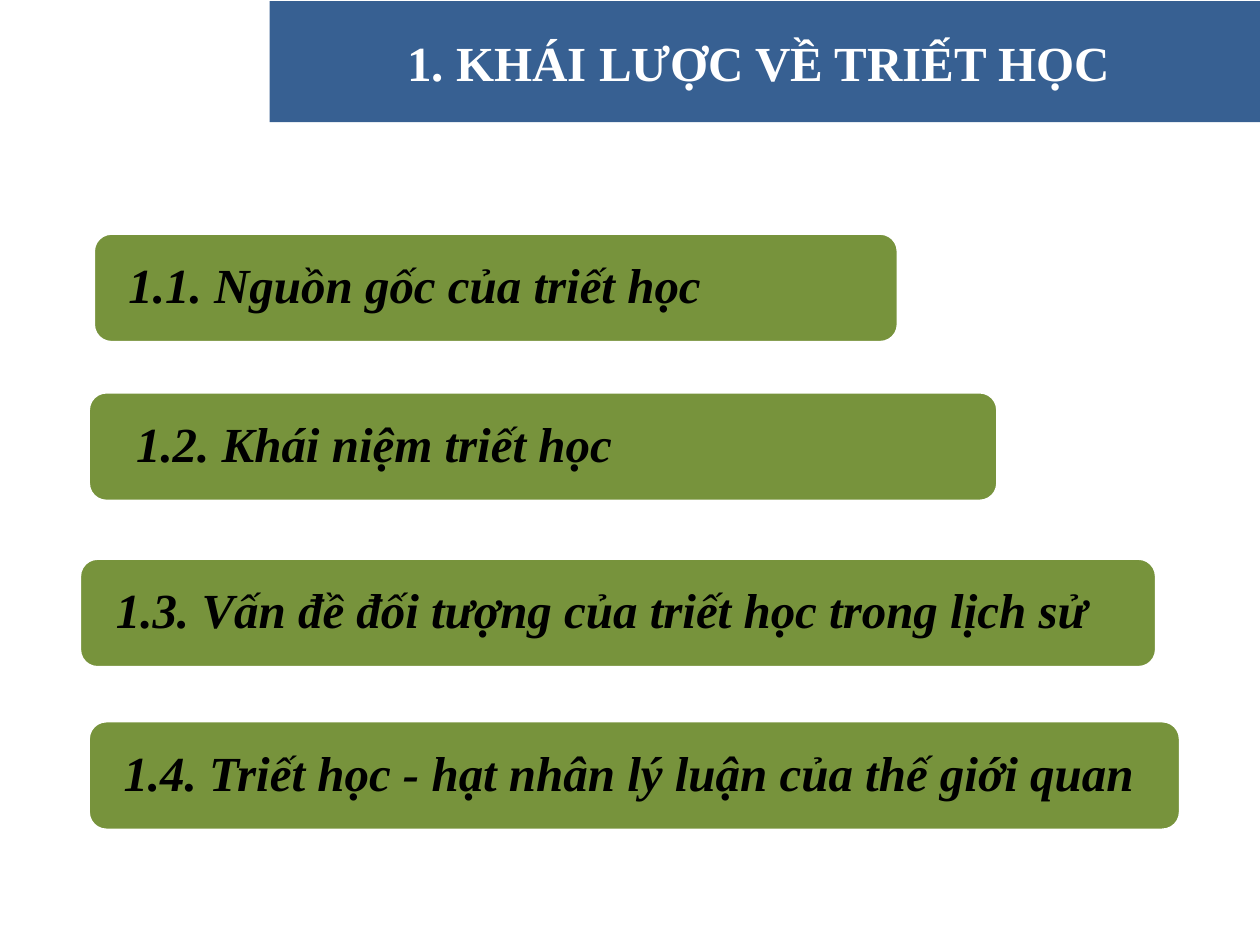
import pptx
import pptx.util
import pptx.dml.color
import pptx.enum.shapes
import pptx.enum.text

Inches = pptx.util.Inches
Pt = pptx.util.Pt
RGBColor = pptx.dml.color.RGBColor
PP_ALIGN = pptx.enum.text.PP_ALIGN
MIDDLE = pptx.enum.text.MSO_ANCHOR.MIDDLE

BLUE = RGBColor(0x37, 0x60, 0x92)
GREEN = RGBColor(0x77, 0x93, 0x3C)
WHITE = RGBColor(0xFF, 0xFF, 0xFF)
BLACK = RGBColor(0x00, 0x00, 0x00)

BAR_HEIGHT = 0.87
LABEL_HEIGHT = 0.78

# heading, bar left, bar top, bar width, label left
SECTIONS = [
    ("1.1. Nguồn gốc của triết học", 0.74, 1.85, 6.39, 0.78),
    ("1.2. Khái niệm triết học", 0.7, 3.11, 7.22, 0.84),
    ("1.3. Vấn đề đối tượng của triết học trong lịch sử", 0.63, 4.43, 8.55, 0.68),
    ("1.4. Triết học - hạt nhân lý luận của thế giới quan", 0.7, 5.72, 8.67, 0.74),
]


def format_text(paragraph, color, italic):
    for run in paragraph.runs:
        run.font.name = "Times New Roman"
        run.font.size = Pt(28)
        run.font.bold = True
        run.font.italic = italic
        run.font.color.rgb = color


def fill_title(slide, heading):
    title = slide.shapes.title
    title.left, title.top = Inches(2.14), Inches(0.01)
    title.width, title.height = Inches(7.86), Inches(0.96)
    title.fill.solid()
    title.fill.fore_color.rgb = BLUE
    frame = title.text_frame
    frame.text = heading
    frame.vertical_anchor = MIDDLE
    frame.paragraphs[0].alignment = PP_ALIGN.CENTER
    format_text(frame.paragraphs[0], WHITE, False)


def add_section(slide, heading, left, top, width, label_left):
    section = slide.shapes.add_group_shape()
    bar = section.shapes.add_shape(
        pptx.enum.shapes.MSO_SHAPE.ROUNDED_RECTANGLE,
        Inches(left), Inches(top), Inches(width), Inches(BAR_HEIGHT))
    bar.shadow.inherit = False
    bar.fill.solid()
    bar.fill.fore_color.rgb = GREEN
    bar.line.color.rgb = WHITE
    bar.line.width = Pt(2)

    label_top = top + (BAR_HEIGHT - LABEL_HEIGHT) / 2
    label = section.shapes.add_textbox(
        Inches(label_left), Inches(label_top),
        Inches(width - 0.09), Inches(LABEL_HEIGHT))
    frame = label.text_frame
    frame.word_wrap = True
    frame.vertical_anchor = MIDDLE
    frame.margin_left = frame.margin_right = Inches(0.24)
    frame.margin_top = frame.margin_bottom = 0
    frame.text = heading
    paragraph = frame.paragraphs[0]
    paragraph.line_spacing = 0.9
    paragraph.space_after = Pt(12.2)
    format_text(paragraph, BLACK, True)


def main():
    presentation = pptx.Presentation()
    presentation.slide_width = Inches(10)
    presentation.slide_height = Inches(7.5)
    slide = presentation.slides.add_slide(presentation.slide_layouts[5])
    fill_title(slide, "1. KHÁI LƯỢC VỀ TRIẾT HỌC ")
    for section in SECTIONS:
        add_section(slide, *section)
    presentation.save("out.pptx")


if __name__ == "__main__":
    main()
